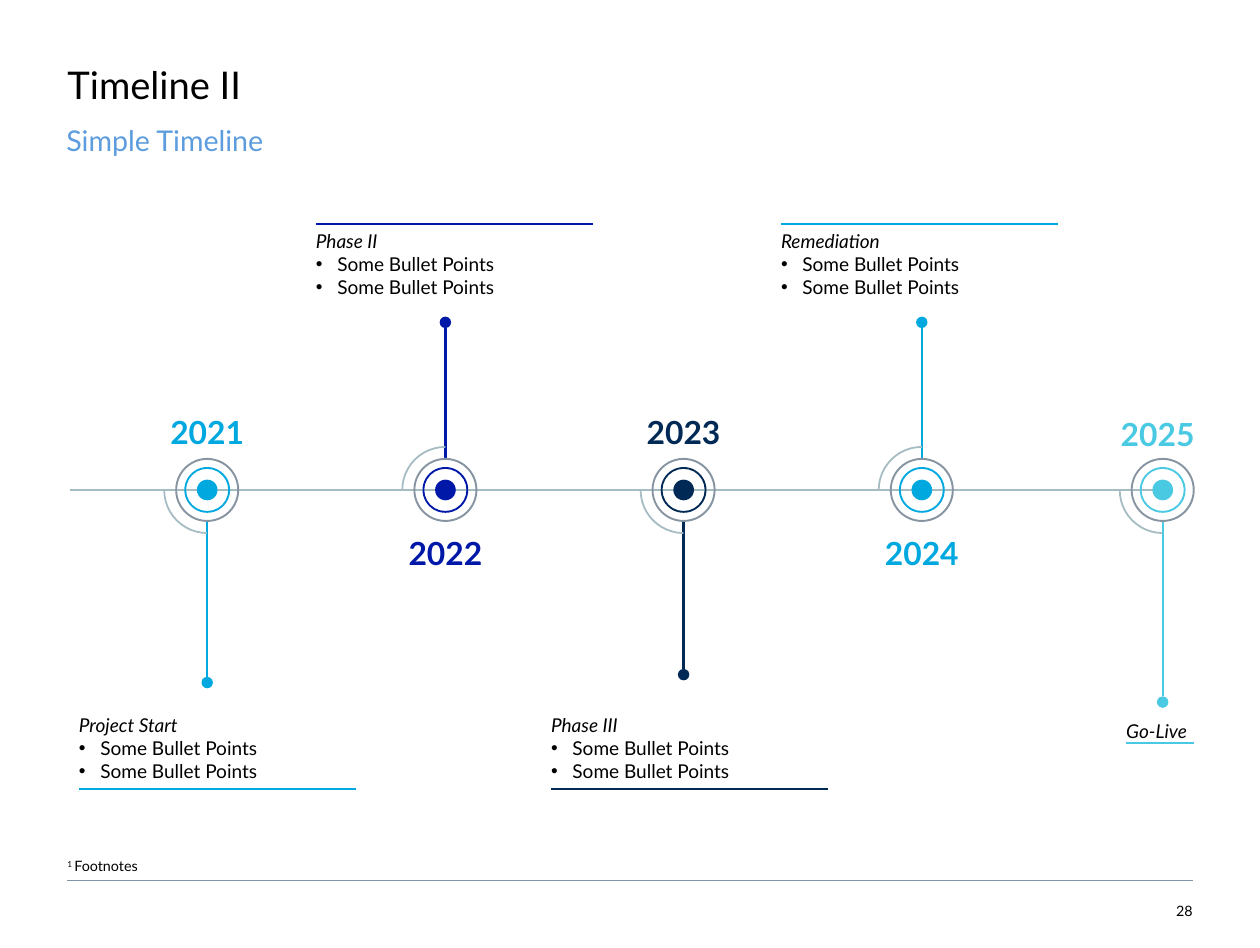
import pptx
import pptx.util
import pptx.dml.color
import pptx.enum.shapes
import pptx.enum.text
import pptx.oxml
import pptx.oxml.ns

Pt = pptx.util.Pt
RGBColor = pptx.dml.color.RGBColor
SHAPE = pptx.enum.shapes.MSO_SHAPE
ALIGN = pptx.enum.text.PP_ALIGN
ANCHOR = pptx.enum.text.MSO_ANCHOR

BLACK = RGBColor(0x00, 0x00, 0x00)
SUBTITLE_BLUE = RGBColor(0x5D, 0x9D, 0xDE)
FOOTER_GREY = RGBColor(0x82, 0x96, 0xAA)
RING_GREY = RGBColor(0x87, 0x94, 0xA1)
AXIS_GREY = RGBColor(0xA4, 0xBC, 0xC2)
CYAN = RGBColor(0x00, 0xA8, 0xE0)
ROYAL = RGBColor(0x00, 0x18, 0xA8)
NAVY = RGBColor(0x00, 0x2A, 0x55)
AQUA = RGBColor(0x4A, 0xC9, 0xE3)

AXIS_Y = 308.5
RING_SIZE = 40.3
STEM_DOT = 7.2
NOTE_WIDTH, NOTE_HEIGHT, RULE_LENGTH = 195, 45, 174.5
BULLETS = ["Some Bullet Points"] * 2


class TimelineSlide:
    font = "Lato"

    def __init__(self, slide):
        self.slide = slide

    def frame(self, holder, box, insets=(0, 0, 0, 0), anchor=ANCHOR.TOP):
        """Place a text holder and return its text frame."""
        holder.left, holder.top, holder.width, holder.height = map(Pt, box)
        frame = holder.text_frame
        frame.word_wrap = True
        frame.auto_size = pptx.enum.text.MSO_AUTO_SIZE.NONE
        frame.vertical_anchor = anchor
        (frame.margin_left, frame.margin_top,
         frame.margin_right, frame.margin_bottom) = map(Pt, insets)
        return frame

    def run(self, paragraph, text, size, color=BLACK, bold=False, italic=False):
        run = paragraph.add_run()
        run.text = text
        font = run.font
        font.name, font.size, font.bold, font.italic = self.font, Pt(size), bold, italic
        font.color.rgb = color
        return run

    def text(self, box, text, size, color=BLACK, align=ALIGN.LEFT, spacing=1.0,
             holder=None, insets=(0, 0, 0, 0), anchor=ANCHOR.TOP, **style):
        holder = holder or self.slide.shapes.add_textbox(0, 0, 0, 0)
        paragraph = self.frame(holder, box, insets, anchor).paragraphs[0]
        paragraph.alignment, paragraph.line_spacing = align, spacing
        self.run(paragraph, text, size, color, **style)
        return paragraph

    def note(self, holder, left, top, heading, bullets):
        """An italic heading followed by a bulleted list."""
        frame = self.frame(holder, (left, top, NOTE_WIDTH, NOTE_HEIGHT))
        for number, line in enumerate([heading, *bullets]):
            paragraph = frame.add_paragraph() if number else frame.paragraphs[0]
            paragraph.alignment = ALIGN.LEFT
            paragraph.space_before = Pt(0)
            self.run(paragraph, line, 12, italic=number == 0)
            properties = paragraph._p.get_or_add_pPr()
            indent = Pt(13.5) if number else 0
            properties.set("marL", str(indent))
            properties.set("indent", str(-indent))
            mark = pptx.oxml.ns.qn("a:buChar" if number else "a:buNone")
            bullet = properties.makeelement(mark, {"char": "•"} if number else {})
            properties.append(bullet)

    def line(self, x1, y1, x2, y2, color, width=1.5):
        line = self.slide.shapes.add_connector(
            pptx.enum.shapes.MSO_CONNECTOR.STRAIGHT, *map(Pt, (x1, y1, x2, y2)))
        line.line.color.rgb = color
        line.line.width = Pt(width)
        properties = line._element.spPr
        properties.append(properties.makeelement(pptx.oxml.ns.qn("a:effectLst"), {}))

    def round(self, kind, x, y, size, color, adjustments=(), rotation=0):
        """A round shape given by its centre and diameter."""
        shape = self.slide.shapes.add_shape(
            kind, Pt(x - size / 2), Pt(y - size / 2), Pt(size), Pt(size))
        for index, value in enumerate(adjustments):
            shape.adjustments[index] = value
        shape.rotation = rotation
        shape.shadow.inherit = False
        shape.fill.solid()
        shape.fill.fore_color.rgb = color
        shape.line.fill.background()

    def milestone(self, x, end_y, color, year, year_dx=0, year_dy=0):
        """Rings on the axis, a stem to end_y and the year on the other side."""
        side = 1 if end_y > AXIS_Y else -1
        self.text((x + year_dx - 26.3, AXIS_Y - side * 38.1 + year_dy - 10.45, 52.6, 20.9),
                  year, 20, color, ALIGN.CENTER, bold=True)
        self.round(SHAPE.OVAL, x, end_y, STEM_DOT, color)
        self.line(x, AXIS_Y + side * RING_SIZE / 2,
                  x, end_y - side * STEM_DOT / 2, color)
        self.round(SHAPE.OVAL, x, AXIS_Y, 13, color)
        self.round(SHAPE.DONUT, x, AXIS_Y, RING_SIZE, RING_GREY, [0.03])
        self.round(SHAPE.BLOCK_ARC, x, AXIS_Y, 55.4, AXIS_GREY,
                   [162.3, 0.044, 0.02], 180 if side > 0 else 270)
        self.round(SHAPE.DONUT, x, AXIS_Y, 28.8, color, [0.039])


def main():
    deck = pptx.Presentation()
    deck.slide_width, deck.slide_height = Pt(793.44), Pt(596.88)
    # The comparison layout offers a title and four bodies
    slide = deck.slides.add_slide(deck.slide_layouts[4])
    page = TimelineSlide(slide)
    title, *note_bodies = slide.placeholders

    # Heading
    page.text((42.5, 21.6, 666, 77.8), "Timeline II", 24, spacing=0.9,
              holder=title, insets=(0, 20.2, 21.6, 0))
    page.text((41.8, 79.9, 721.4, 23.8), "Simple Timeline", 18, SUBTITLE_BLUE,
              spacing=0.9, insets=(0, 0, 42.5, 0))

    # Axis and milestones
    page.line(43.9, AXIS_Y, 725.8, AXIS_Y, AXIS_GREY)
    first_x, pitch = 130.5, 150
    stems = [("2021", 429.8, CYAN), ("2022", 203, ROYAL),
             ("2023", 424.8, NAVY), ("2024", 203, CYAN)]
    for number, (year, end_y, color) in enumerate(stems):
        page.milestone(first_x + number * pitch, end_y, color, year)
    page.milestone(732.2, 442.1, AQUA, "2025", year_dx=-3.2, year_dy=1.4)

    # Notes with their rules: below the axis, then above, in turn
    notes = [("Project Start", 49.7, CYAN), ("Phase II", 198.9, ROYAL),
             ("Phase III", 347, NAVY), ("Remediation", 491.8, CYAN)]
    for number, (body, (heading, left, color)) in enumerate(zip(note_bodies, notes)):
        top, rule_y = (144.7, 141.1) if number % 2 else (449.3, 496.8)
        page.note(body, left, top, heading, BULLETS)
        page.line(left, rule_y, left + RULE_LENGTH, rule_y, color)
    page.text((709.2, 452.9, 42.5, 17.3), "Go-Live", 12, italic=True)
    page.line(709.2, 468, 751.7, 468, AQUA)

    # Footer
    page.line(42.5, 554.4, 751, 554.4, FOOTER_GREY, 0.5)
    footnote = page.text((42.5, 540, 709.2, 19.4), "1 ", 9)
    footnote.runs[0].font._element.set("baseline", "30000")
    page.run(footnote, "Footnotes", 9)
    page.text((708.5, 554.4, 42.5, 24.5), "28", 9, align=ALIGN.RIGHT,
              anchor=ANCHOR.BOTTOM)

    deck.save("out.pptx")


if __name__ == "__main__":
    main()
